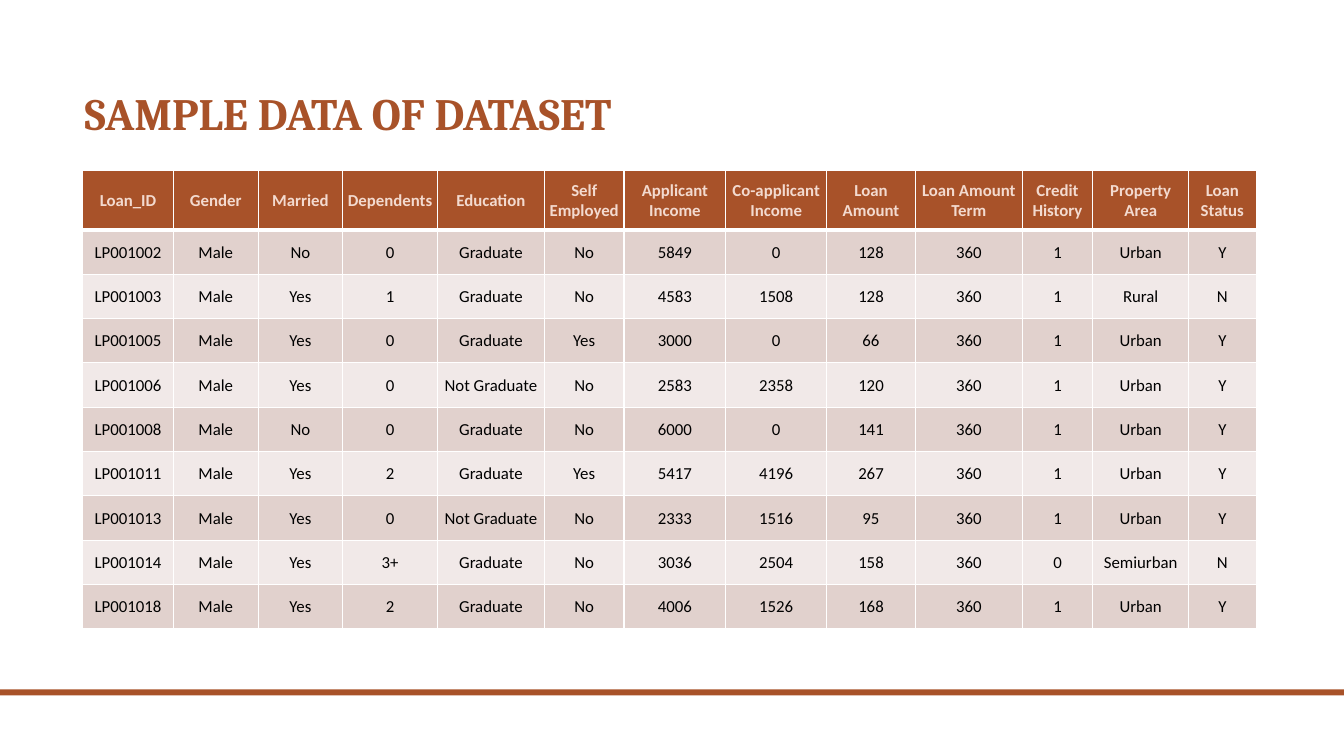
import pptx
import pptx.util
import pptx.dml.color
import pptx.enum.shapes
import pptx.enum.text
import pptx.oxml
import pptx.oxml.ns

Inches = pptx.util.Inches
Pt = pptx.util.Pt
RGB = pptx.dml.color.RGBColor.from_string

COLORS = {
    "rust": "A85229",
    "header_text": "F3DACF",
    "body_text": "000000",
    "band_dark": "E1D1CD",
    "band_light": "F1E9E8",
    "border": "FFFFFF",
}

HEADERS = [
    "Loan_ID", "Gender", "Married", "Dependents", "Education", "Self Employed",
    "Applicant Income", "Co-applicant Income", "Loan Amount", "Loan Amount Term",
    "Credit History", "Property Area", "Loan Status",
]
LOANS = [
    ["LP001002", "Male", "No", "0", "Graduate", "No", "5849", "0", "128", "360", "1", "Urban", "Y"],
    ["LP001003", "Male", "Yes", "1", "Graduate", "No", "4583", "1508", "128", "360", "1", "Rural", "N"],
    ["LP001005", "Male", "Yes", "0", "Graduate", "Yes", "3000", "0", "66", "360", "1", "Urban", "Y"],
    ["LP001006", "Male", "Yes", "0", "Not Graduate", "No", "2583", "2358", "120", "360", "1", "Urban", "Y"],
    ["LP001008", "Male", "No", "0", "Graduate", "No", "6000", "0", "141", "360", "1", "Urban", "Y"],
    ["LP001011", "Male", "Yes", "2", "Graduate", "Yes", "5417", "4196", "267", "360", "1", "Urban", "Y"],
    ["LP001013", "Male", "Yes", "0", "Not Graduate", "No", "2333", "1516", "95", "360", "1", "Urban", "Y"],
    ["LP001014", "Male", "Yes", "3+", "Graduate", "No", "3036", "2504", "158", "360", "0", "Semiurban", "N"],
    ["LP001018", "Male", "Yes", "2", "Graduate", "No", "4006", "1526", "168", "360", "1", "Urban", "Y"],
]
COL_WIDTHS = [0.9, 0.84, 0.84, 0.94, 1.06, 0.79, 1.01, 1, 0.88, 1.06, 0.7, 0.95, 0.67]
HEADER_HEIGHT = 0.59
ROW_HEIGHT = 0.44


def add_border(cell, side, points):
    cell._tc.get_or_add_tcPr().append(pptx.oxml.parse_xml(
        f'<a:{side} {pptx.oxml.ns.nsdecls("a")} w="{Pt(points)}"><a:solidFill>'
        f'<a:srgbClr val="{COLORS["border"]}"/></a:solidFill></a:{side}>'))


prs = pptx.Presentation()
prs.slide_width = Inches(13.33)
prs.slide_height = Inches(7.5)
s = prs.slides.add_slide(prs.slide_layouts[6])

sp = s.shapes.add_shape(pptx.enum.shapes.MSO_SHAPE.RECTANGLE,
                        Inches(0), Inches(6.84), prs.slide_width, Inches(0.06))
sp.shadow.inherit = False
sp.fill.solid()
sp.fill.fore_color.rgb = RGB(COLORS["rust"])
sp.line.fill.background()

sp = s.shapes.add_textbox(Inches(0.74), Inches(0.46), Inches(10.5), Inches(0.98))
tf = sp.text_frame
tf.word_wrap = True
tf.vertical_anchor = pptx.enum.text.MSO_ANCHOR.BOTTOM
p = tf.paragraphs[0]
p.text = "SAMPLE DATA OF DATASET"
p.line_spacing = 0.9
p.font.name = "Cambria"
p.font.size = Pt(32)
p.font.bold = True
p.font.color.rgb = RGB(COLORS["rust"])

rows = [HEADERS] + LOANS
frame = s.shapes.add_table(len(rows), len(HEADERS), Inches(0.82), Inches(1.69),
                           Inches(sum(COL_WIDTHS)),
                           Inches(HEADER_HEIGHT + ROW_HEIGHT * len(LOANS)))
table = frame.table
for column, width in zip(table.columns, COL_WIDTHS):
    column.width = Inches(width)

for i, values in enumerate(rows):
    is_header = i == 0
    table.rows[i].height = Inches(HEADER_HEIGHT if is_header else ROW_HEIGHT)
    fill = "rust" if is_header else "band_dark" if i % 2 else "band_light"
    for j, value in enumerate(values):
        cell = table.cell(i, j)
        cell.margin_left = cell.margin_right = cell.margin_top = Inches(0.01)
        cell.margin_bottom = Inches(0)
        cell.vertical_anchor = pptx.enum.text.MSO_ANCHOR.MIDDLE
        for side in ("lnL", "lnR", "lnT", "lnB"):
            heavy = (is_header and side == "lnB") or (i == 1 and side == "lnT")
            add_border(cell, side, 3 if heavy else 1)
        cell.fill.solid()
        cell.fill.fore_color.rgb = RGB(COLORS[fill])
        p = cell.text_frame.paragraphs[0]
        p.text = value
        p.alignment = pptx.enum.text.PP_ALIGN.CENTER
        p.font.name = "Calibri"
        p.font.size = Pt(12)
        p.font.bold = is_header
        p.font.color.rgb = RGB(COLORS["header_text" if is_header else "body_text"])

prs.save("out.pptx")
